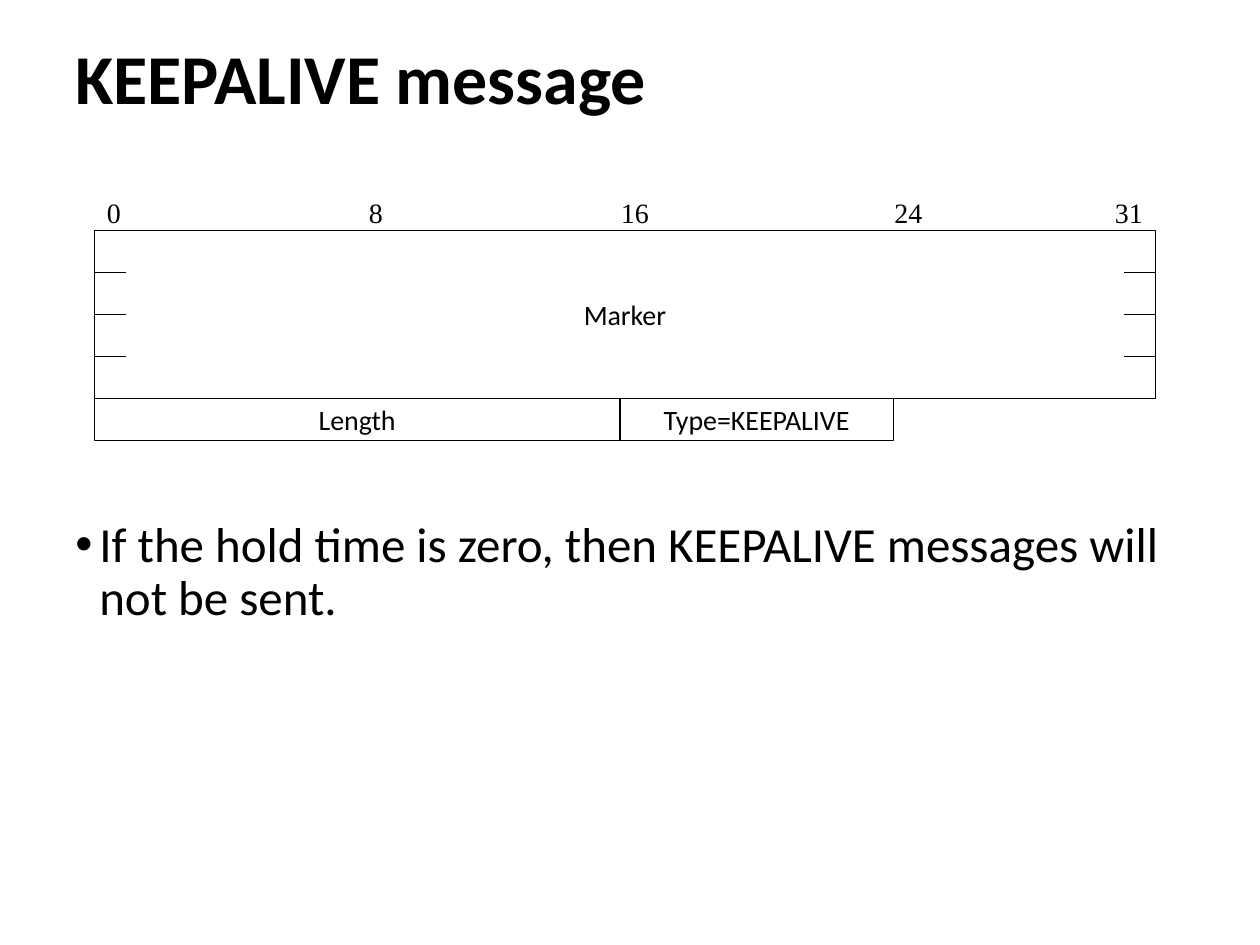
from lxml import etree
from pptx import Presentation
from pptx.dml.color import RGBColor
from pptx.enum.shapes import MSO_CONNECTOR, MSO_SHAPE
from pptx.enum.text import MSO_ANCHOR, PP_ALIGN
from pptx.oxml.ns import qn
from pptx.util import Inches, Pt

RECT = MSO_SHAPE.RECTANGLE
STRAIGHT = MSO_CONNECTOR.STRAIGHT
MIDDLE = MSO_ANCHOR.MIDDLE
CENTER = PP_ALIGN.CENTER

BLACK = "000000"
LEFT, TOP, WIDTH = 0.75, 1.83, 8.42
ROW, MARKER_ROWS, TICK = 1 / 3, 4, 0.25
TITLE = {"name": "Calibri", "size": Pt(40), "bold": True}
BODY = {"name": "Calibri", "size": Pt(28)}
FIELD = {"name": "Calibri", "size": Pt(16)}
BIT = {"name": "Times New Roman", "size": Pt(16)}


def color(value):
    return RGBColor.from_string(value)


def write(tf, text, font):
    p = tf.paragraphs[0]
    r = p.add_run()
    r.text = text
    for key, value in font.items():
        setattr(r.font, key, value)
    r.font.color.rgb = color(BLACK)
    return p


def add_text(s, box, text, font):
    sp = s.shapes.add_textbox(*map(Inches, box))
    sp.text_frame.word_wrap = True
    return write(sp.text_frame, text, font)


def add_bullet(p, indent):
    pPr = p._p.get_or_add_pPr()
    pPr.set("marL", str(Inches(indent)))
    pPr.set("indent", str(-Inches(indent)))
    etree.SubElement(pPr, qn("a:buFont")).set("typeface", "Arial")
    etree.SubElement(pPr, qn("a:buChar")).set("char", "•")


def style_line(sp):
    sp.line.color.rgb = color(BLACK)
    sp.line.width = Pt(0.75)


def add_field(s, box, text):
    sp = s.shapes.add_shape(RECT, *map(Inches, box))
    sp.shadow.inherit = False
    sp.fill.background()
    style_line(sp)
    tf = sp.text_frame
    tf.word_wrap = False
    tf.vertical_anchor = MIDDLE
    write(tf, text, FIELD).alignment = CENTER


def add_tick(s, x, y):
    line = s.shapes.add_connector(STRAIGHT, *map(Inches, (x, y, x + TICK, y)))
    style_line(line)
    etree.SubElement(line._element.spPr, qn("a:effectLst"))


def add_header_diagram(s):
    bottom = TOP + MARKER_ROWS * ROW
    add_field(s, (LEFT, TOP, WIDTH, MARKER_ROWS * ROW), "Marker")
    for x in (LEFT, LEFT + WIDTH - TICK):
        for row in range(1, MARKER_ROWS):
            add_tick(s, x, TOP + row * ROW)

    x = LEFT
    for text, width in (("Length", 4.17), ("Type=KEEPALIVE", 2.17)):
        add_field(s, (x, bottom, width, ROW), text)
        x += width

    for text, x in (("0", 0.75), ("8", 2.83), ("16", 4.83), ("24", 7), ("31", 8.75)):
        width = 0.31 if len(text) == 1 else 0.5
        add_text(s, (x, 1.5, width, 0.37), text, BIT)


def main():
    prs = Presentation()
    prs.slide_width, prs.slide_height = Inches(10), Inches(7.5)
    s = prs.slides.add_slide(prs.slide_layouts[6])

    p = add_text(s, (0.5, 0.3, 9, 1.25), "KEEPALIVE message", TITLE)
    p.line_spacing = 0.9
    p = add_text(s, (0.5, 4.08, 9, 2.62),
                 "If the hold time is zero, then KEEPALIVE messages will not be sent.", BODY)
    p.line_spacing = 0.9
    add_bullet(p, 0.19)
    add_header_diagram(s)

    prs.save("out.pptx")


if __name__ == "__main__":
    main()
